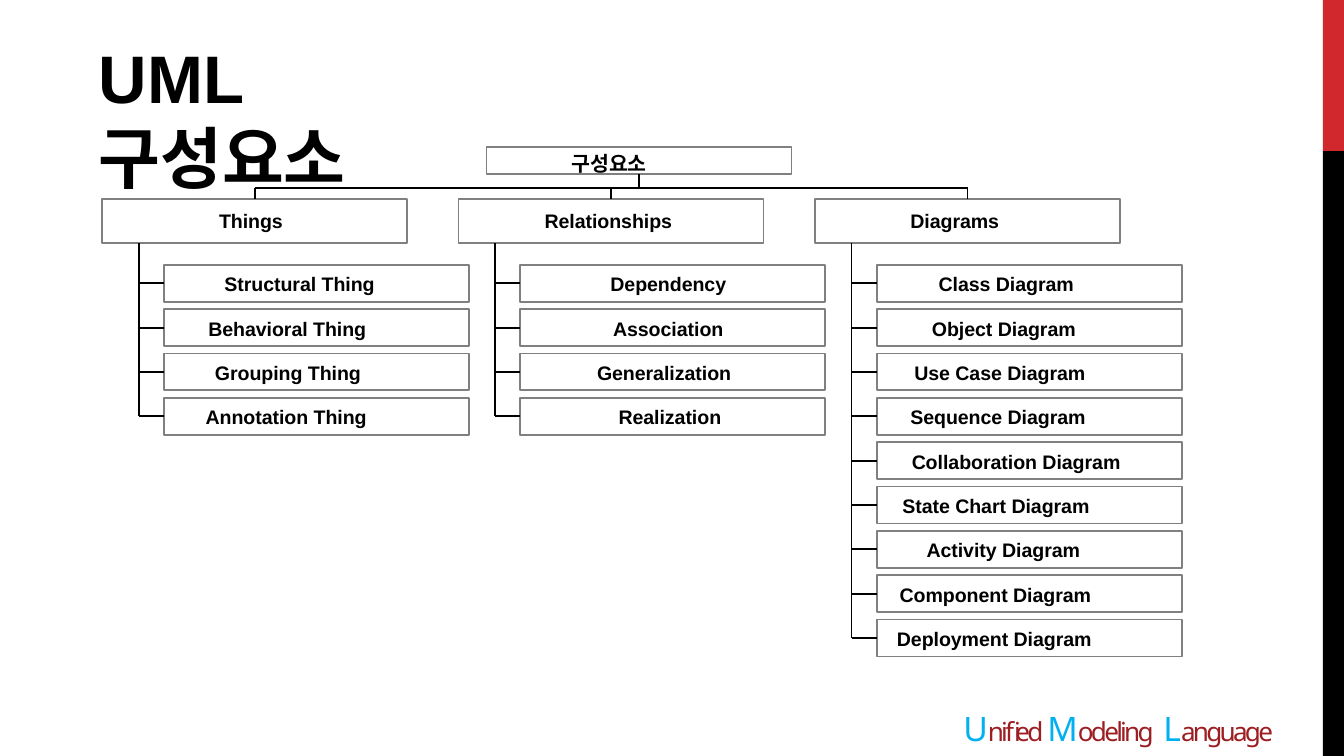
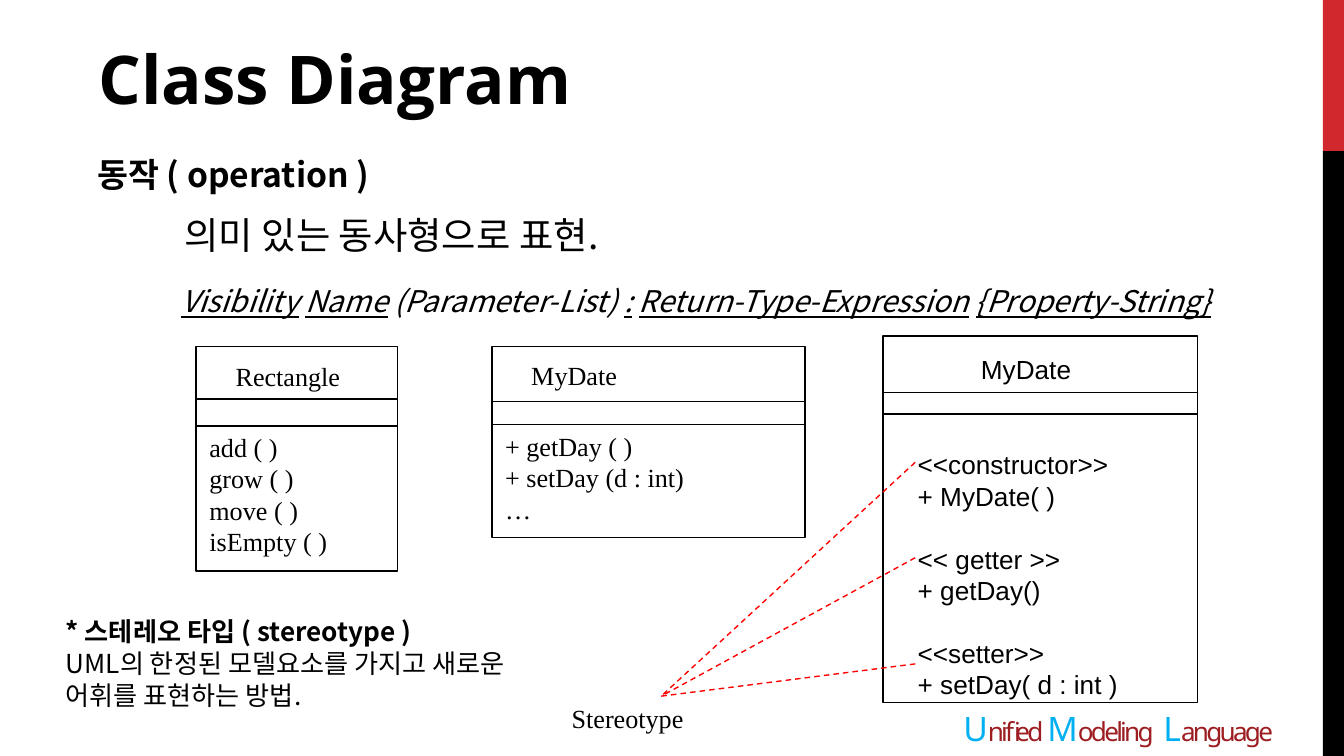
import itertools
from dataclasses import dataclass
from typing import NamedTuple

import pptx
import pptx.dml.color
import pptx.enum.dml
import pptx.enum.shapes
import pptx.enum.text
import pptx.oxml.ns
import pptx.util
from lxml import etree
from pptx.dml.color import RGBColor

BLACK = RGBColor(0x00, 0x00, 0x00)
RED = RGBColor(0xD1, 0x28, 0x2E)
DARK_RED = RGBColor(0x9D, 0x1E, 0x22)
SKY = RGBColor(0x00, 0xB0, 0xF0)
GREY = RGBColor(0x80, 0x80, 0x80)
POINTER_RED = RGBColor(0xFF, 0x00, 0x00)

SANS = "Arial"
SERIF = "Times New Roman"
KOREAN = "Noto Sans CJK KR"

SLIDE_WIDTH = pptx.util.Inches(10)
SLIDE_HEIGHT = SLIDE_WIDTH * 9 // 16
COLUMNS = 100
ROWS = 56.25
CELL = SLIDE_WIDTH / COLUMNS

RECTANGLE = pptx.enum.shapes.MSO_SHAPE.RECTANGLE
STRAIGHT = pptx.enum.shapes.MSO_CONNECTOR.STRAIGHT
ANCHOR = pptx.enum.text.MSO_ANCHOR
ALIGN = pptx.enum.text.PP_ALIGN
TOP, LEFT, BOTTOM = 0, 1, 2


class Area(NamedTuple):
    left: float
    top: float
    width: float
    height: float

    @property
    def center(self) -> float:
        return self.left + self.width / 2

    @property
    def middle(self) -> float:
        return self.top + self.height / 2

    @property
    def right(self) -> float:
        return self.left + self.width

    @property
    def bottom(self) -> float:
        return self.top + self.height


class Point(NamedTuple):
    x: float
    y: float


class Span(NamedTuple):
    text: str
    underline: bool = False


@dataclass(frozen=True)
class Para:
    spans: tuple[Span, ...] | str
    size: float
    font: str = SANS
    bold: bool = False
    italic: bool = False
    align: ALIGN = ALIGN.LEFT
    before: float = 0
    leading: float = 0
    level: int = 0
    indent: float = 0


class Node(NamedTuple):
    label: str
    offset: float
    width: float


class Branch(NamedTuple):
    head: Node
    items: tuple[Node, ...]


class ClassBox(NamedTuple):
    area: Area
    dividers: tuple[float, float]
    name: str = ""
    operations: tuple[str, ...] = ()


BRANCHES = (
    Branch(Node("Things", 8.7, 4.8), (
        Node("Structural Thing", 4.5, 11.3),
        Node("Behavioral Thing", 3.3, 11.9),
        Node("Grouping Thing", 3.8, 11),
        Node("Annotation Thing", 3.1, 12.1),
    )),
    Branch(Node("Relationships", 6.4, 9.7), (
        Node("Dependency", 6.7, 8.8),
        Node("Association", 6.9, 8.3),
        Node("Generalization", 5.7, 10.1),
        Node("Realization", 7.3, 7.8),
    )),
    Branch(Node("Diagrams", 7.1, 6.7), (
        Node("Class Diagram", 4.6, 10.2),
        Node("Object Diagram", 4.1, 10.9),
        Node("Use Case Diagram", 2.8, 13),
        Node("Sequence Diagram", 2.5, 13.3),
        Node("Collaboration Diagram", 2.6, 15.8),
        Node("State Chart Diagram", 1.9, 14.2),
        Node("Activity Diagram", 3.7, 11.6),
        Node("Component Diagram", 1.7, 14.5),
        Node("Deployment Diagram", 1.5, 14.7),
    )),
)

CLASSES = (
    ClassBox(Area(14.6, 25.8, 15, 16.7), (29.7, 31.7), "Rectangle",
             ("add ( )", "grow ( )", "move ( )", "isEmpty ( )")),
    ClassBox(Area(36.6, 25.8, 23.3, 14.2), (29.9, 31.6), "MyDate",
             ("+ getDay ( )", "+ setDay (d : int)", "…")),
    ClassBox(Area(65.7, 25, 23.4, 27.3), (29.2, 30.8)),
)

STEREOTYPES = (
    ("<<constructor>>", "+ MyDate( )"),
    ("<< getter >>", "+ getDay()"),
    ("<<setter>>", "+ setDay( d : int )"),
)


def cells(*values: float) -> list[int]:
    return [round(value * CELL) for value in values]


def write(frame, paras: list[Para]) -> None:
    for index, para in enumerate(paras):
        paragraph = frame.paragraphs[0] if index == 0 else frame.add_paragraph()
        paragraph.alignment = para.align
        paragraph.level = para.level
        if para.before:
            paragraph.space_before = pptx.util.Pt(para.before)
        if para.leading:
            paragraph.line_spacing = pptx.util.Pt(para.leading)
        if para.indent:
            properties = paragraph._p.get_or_add_pPr()
            properties.set("marL", str(cells(para.indent)[0]))
            properties.set("indent", "0")
        font = paragraph.font
        font.size = pptx.util.Pt(para.size)
        font.bold = para.bold
        font.italic = para.italic
        font.color.rgb = BLACK
        font.name = para.font
        east_asian = etree.SubElement(font._element, pptx.oxml.ns.qn("a:ea"))
        east_asian.set("typeface", KOREAN)
        spans = (Span(para.spans),) if isinstance(para.spans, str) else para.spans
        for span in spans:
            run = paragraph.add_run()
            run.text = span.text
            if span.underline:
                run.font.underline = True


def add_text(page, area: Area, paras: list[Para], wrap: bool = True,
             inset: bool = True, anchor: ANCHOR = ANCHOR.TOP):
    box = page.shapes.add_textbox(*cells(*area))
    frame = box.text_frame
    frame.word_wrap = wrap
    frame.vertical_anchor = anchor
    if not inset:
        frame.margin_left = frame.margin_right = 0
        frame.margin_top = frame.margin_bottom = 0
    write(frame, paras)
    return box


def add_box(page, area: Area, line: RGBColor | None = None, width: float = 1,
            fill: RGBColor | None = None):
    box = page.shapes.add_shape(RECTANGLE, *cells(*area))
    box.shadow.inherit = False
    if fill is None:
        box.fill.background()
    else:
        box.fill.solid()
        box.fill.fore_color.rgb = fill
    if line is None:
        box.line.fill.background()
    else:
        box.line.color.rgb = line
        box.line.width = pptx.util.Pt(width)
    return box


def add_line(page, start: Point, end: Point, color: RGBColor = BLACK,
             width: float = 1, dashed: bool = False):
    line = page.shapes.add_connector(STRAIGHT, *cells(*start, *end))
    line.line.color.rgb = color
    line.line.width = pptx.util.Pt(width)
    if dashed:
        line.line.dash_style = pptx.enum.dml.MSO_LINE.DASH
    etree.SubElement(line._element.spPr, pptx.oxml.ns.qn("a:effectLst"))
    return line


def add_title(page, text: str, width: float, font: str, leading: float = 0) -> None:
    add_text(page, Area(6.35, 2.25, width, 7.1),
             [Para(text, 36, font, bold=True, leading=leading)])


def fill_master(deck, page) -> None:
    band = Area(98.44, 0, 1.56, 11.25)
    shared = [
        add_box(page, band, fill=RED),
        add_box(page, Area(band.left, band.bottom, band.width, ROWS - band.bottom), fill=BLACK),
    ]
    footer = page.shapes.add_textbox(*cells(64.05, 53.1, 38.3, 3.15))
    footer.text_frame.word_wrap = True
    footer.text_frame.vertical_anchor = ANCHOR.BOTTOM
    paragraph = footer.text_frame.paragraphs[0]
    paragraph.alignment = ALIGN.CENTER
    paragraph.font.name = "Noto Sans"
    for text, size, color in (
        ("U", 18, SKY), ("nified ", 14, DARK_RED),
        ("M", 18, SKY), ("odeling", 14, DARK_RED), (" ", 20, DARK_RED),
        ("L", 18, SKY), ("anguage", 14, DARK_RED),
    ):
        run = paragraph.add_run()
        run.text = text
        run.font.size = pptx.util.Pt(size)
        run.font.color.rgb = color
        run.font._element.set("spc", "-150")
    for shape in [*shared, footer]:
        deck.slide_master.shapes.element.append(shape._element)


def add_node(page, node: Node, area: Area, drop: float, font: str = SANS,
             size: float = 10.5, leading: float = 0):
    add_text(page, Area(area.left + node.offset, area.top + drop, node.width, 1.8),
             [Para(node.label, size, font, bold=True, leading=leading)],
             wrap=False, inset=False)
    return add_box(page, area, GREY)


def build_components(page) -> None:
    add_title(page, "UML 구성요소", 30, SANS, 43)
    root_area = Area(36.2, 10.95, 22.7, 2)
    bus = 14
    root = add_node(page, Node("구성요소", 6.3, 6.2), root_area, 0.3, KOREAN, 11, 13)
    stem = add_line(page, Point(root_area.center, root_area.bottom), Point(root_area.center, bus))
    stem.begin_connect(root, BOTTOM)
    stops = [root_area.center]
    for column, branch in enumerate(BRANCHES):
        head_area = Area(7.6 + 26.52 * column, 14.8, 22.7, 3.3)
        head = add_node(page, branch.head, head_area, 0.75)
        stops.append(head_area.center)
        drop = add_line(page, Point(head_area.center, bus), Point(head_area.center, head_area.top))
        drop.end_connect(head, TOP)
        trunk = head_area.left + 2.72
        joint = head_area.bottom
        for row, item in enumerate(branch.items):
            area = Area(head_area.left + 4.6, 19.7 + 3.3 * row, 22.7, 2.75)
            box = add_node(page, item, area, 0.55)
            add_line(page, Point(trunk, joint), Point(trunk, area.middle))
            joint = area.middle
            twig = add_line(page, Point(trunk, joint), Point(area.left, joint))
            twig.end_connect(box, LEFT)
    for start, end in itertools.pairwise(sorted(stops)):
        add_line(page, Point(start, bus), Point(end, bus))


def add_class(page, item: ClassBox) -> None:
    box = add_box(page, item.area, BLACK, 0.75)
    if item.name:
        box.text_frame.word_wrap = True
        box.text_frame.vertical_anchor = ANCHOR.MIDDLE
        write(box.text_frame, [Para(item.name, 14, SERIF, indent=1.95)] + [
            Para(text, 14, SERIF, before=0 if index else 21)
            for index, text in enumerate(item.operations)])
    for y in item.dividers:
        add_line(page, Point(item.area.left, y), Point(item.area.right, y), width=0.75)


def build_class_diagram(page) -> None:
    signature = (
        Span("Visibility", True), Span(" "), Span("Name", True),
        Span(" (Parameter-List) "), Span(":", True), Span(" "),
        Span("Return-Type-Expression", True), Span(" "), Span("{Property-String}", True),
    )
    add_text(page, Area(6.25, 10.9, 86.7, 14.1), [
        Para("동작 ( operation )", 18, KOREAN, bold=True, leading=22),
        Para("의미 있는 동사형으로 표현.", 20, KOREAN, before=9.5, leading=24, level=1, indent=6.5),
        Para(signature, 16, KOREAN, italic=True, before=9.5, leading=23.5, level=1, indent=6.25),
    ])
    add_title(page, "Class Diagram", 40, "Open Sans")
    for item in CLASSES:
        add_class(page, item)
    add_text(page, Area(67.3, 32.9, 21.3, 19.6), [
        Para(text, 14, before=16.8 if group and not index else 0)
        for group, lines in enumerate(STEREOTYPES) for index, text in enumerate(lines)])
    add_text(page, Area(72, 25.8, 8.8, 3.3), [Para("MyDate", 14)], wrap=False)
    for y in (34.4, 41.5, 49.4):
        add_line(page, Point(68.1, y), Point(49.2, 51.8), POINTER_RED, 0.75, dashed=True)
    add_text(page, Area(41.3, 51.8, 10.8, 3.3),
             [Para("Stereotype", 14, SERIF, align=ALIGN.CENTER)],
             wrap=False, anchor=ANCHOR.MIDDLE)
    add_text(page, Area(3.9, 45.3, 39.4, 8.1), [
        Para("* 스테레오 타입 ( stereotype )", 14, KOREAN, bold=True, leading=17),
        Para("UML의 한정된 모델요소를 가지고 새로운", 14, KOREAN, leading=17),
        Para("어휘를 표현하는 방법.", 14, KOREAN, leading=17),
    ])


def main() -> None:
    deck = pptx.Presentation()
    deck.slide_width = SLIDE_WIDTH
    deck.slide_height = SLIDE_HEIGHT
    blank = deck.slide_layouts[6]
    pages = [deck.slides.add_slide(blank) for _ in range(2)]
    fill_master(deck, pages[0])
    build_components(pages[0])
    build_class_diagram(pages[1])
    deck.save("out.pptx")


if __name__ == "__main__":
    main()
